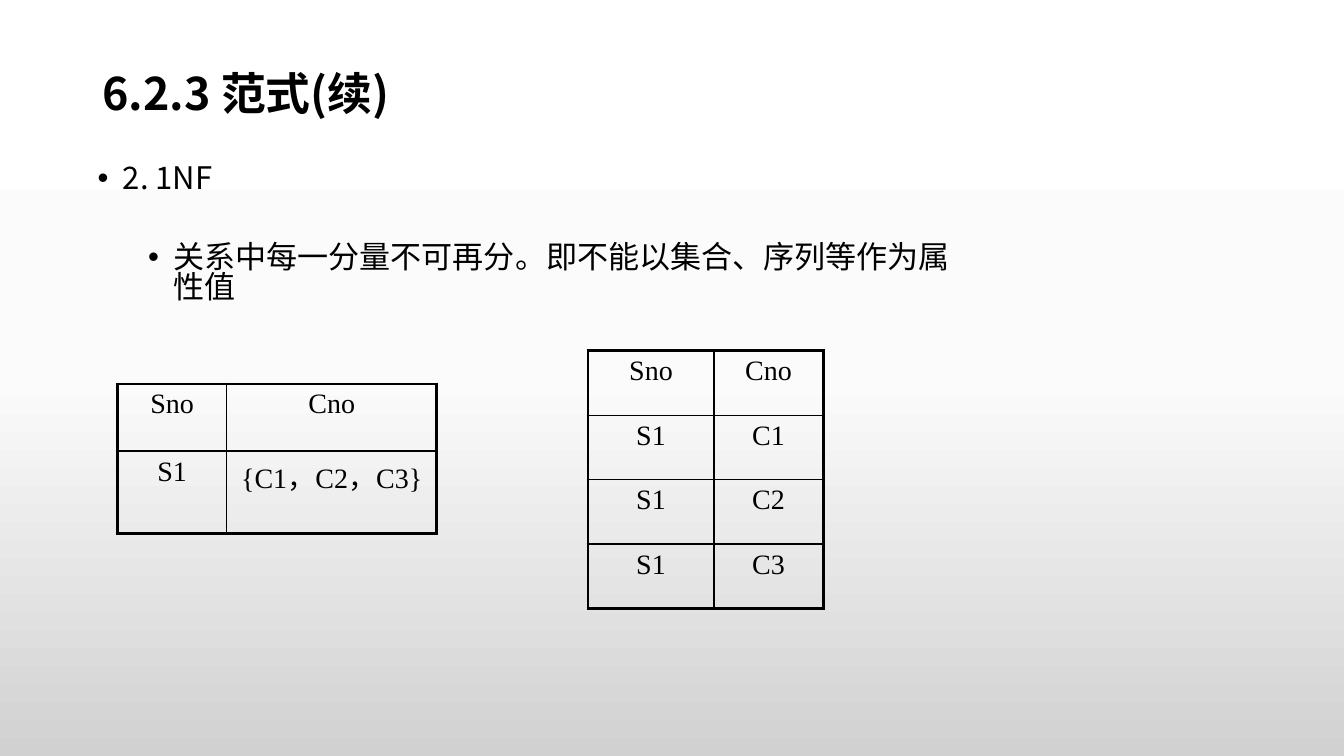
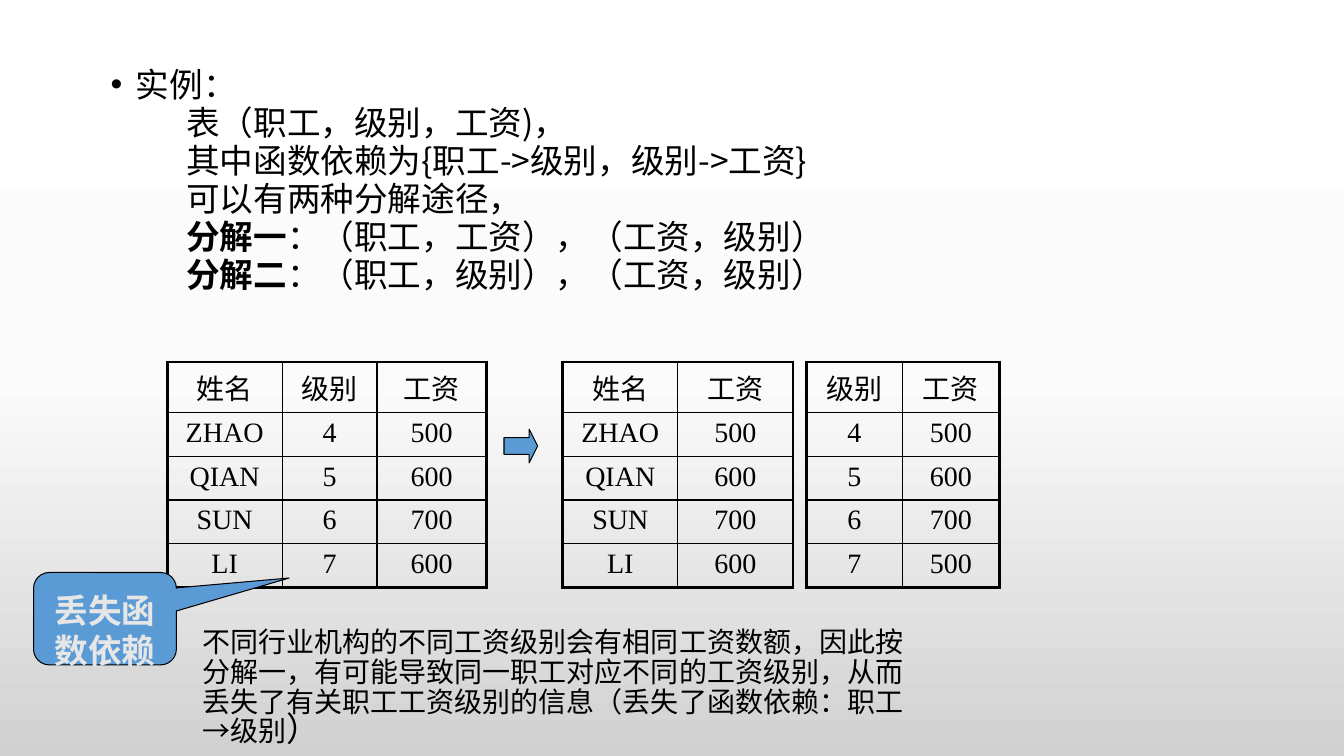
from dataclasses import dataclass
from itertools import product

from lxml.etree import SubElement
from pptx import Presentation
from pptx.dml.color import RGBColor
from pptx.enum.shapes import MSO_SHAPE
from pptx.enum.text import MSO_ANCHOR, PP_ALIGN
from pptx.oxml.ns import qn
from pptx.util import Emu, Inches, Pt

COLUMNS, ROWS = 160, 90
GRID_STEP = Inches(1) / 12
INK, ACCENT, PALE = "000000", "5B9BD5", "E7E6E6"
BACKDROP = ((0, "FFFFFF"), (50, "FBFBFB"), (100, "D1D1D1"))
SANS, SERIF = "Noto Sans CJK SC", "Times New Roman"
OUTER, INNER = 2.25, 1
FRAME_FORMAT = {"word_wrap": True, "vertical_anchor": MSO_ANCHOR.TOP}
PLAIN_GRID = {"first_row": False, "horz_banding": False}


@dataclass(frozen=True)
class Style:
    size: float
    pitch: float | None = None
    latin: str = SANS
    colour: str = INK
    bold: bool = False
    align: PP_ALIGN = PP_ALIGN.LEFT


@dataclass(frozen=True)
class Line:
    text: str
    lead: str = ""
    margin: float = 0
    bullet: bool = False
    before: float = 0
    tail: str = ""
    tail_size: float = 0


@dataclass(frozen=True)
class Area:
    column: float
    row: float
    columns: float
    rows: float

    def box(self) -> tuple[Emu, Emu, Emu, Emu]:
        return (grid(self.column), grid(self.row),
                grid(self.columns), grid(self.rows))


@dataclass(frozen=True)
class Relation:
    column: float
    row: float
    widths: tuple[float, ...]
    heights: tuple[float, ...]
    records: tuple[tuple[str, ...], ...]


TITLE = Style(32, 36, bold=True)
DEFINITION = Style(22.2, 21.4)
EXAMPLE = Style(24, 27.1)
NOTE = Style(20, 21.4, latin="Arial")
CALLOUT = Style(24, 28.6, latin=SERIF, colour=PALE, bold=True, align=PP_ALIGN.CENTER)
CELL = Style(20, latin=SERIF, align=PP_ALIGN.CENTER)

NORMAL_FORM_LINES = (
    Line("2. 1NF", margin=3, bullet=True),
    Line("关系中每一分量不可再分。即不能以集合、序列等作为属性值",
         margin=9, bullet=True, before=35),
)
EXAMPLE_LINES = (
    Line("实例：", margin=3, bullet=True),
    Line("表（职工，级别，工资)，", margin=9),
    Line("其中函数依赖为{职工->级别，级别->工资}", margin=9),
    Line("可以有两种分解途径，", margin=9),
    Line("：（职工，工资），（工资，级别）", lead="分解一", margin=9),
    Line("：（职工，级别），（工资，级别）", lead="分解二", margin=9),
)
LOSS_LINE = Line(
    "不同行业机构的不同工资级别会有相同工资数额，因此按分解一，"
    "有可能导致同一职工对应不同的工资级别，从而丢失了有关职工"
    "工资级别的信息（丢失了函数依赖：职工→级别",
    margin=6, tail="）", tail_size=24)

COURSE_RELATIONS = (
    Relation(14, 45.7, (13, 25), (8, 9.8),
             (("Sno", "Cno"), ("S1", "{C1，C2，C3}"))),
    Relation(70, 41.75, (15, 13), (7.67,) * 4,
             (("Sno", "Cno"), ("S1", "C1"), ("S1", "C2"), ("S1", "C3"))),
)
PAY_ROW = 43.1
PAY_HEIGHTS = (6,) + (4.9,) * 4
PAY_RELATIONS = (
    Relation(19.9, PAY_ROW, (13.7, 11.3, 13), PAY_HEIGHTS,
             (("姓名", "级别", "工资"), ("ZHAO", "4", "500"),
              ("QIAN", "5", "600"), ("SUN", "6", "700"), ("LI", "7", "600"))),
    Relation(67, PAY_ROW, (13.7, 13.7), PAY_HEIGHTS,
             (("姓名", "工资"), ("ZHAO", "500"), ("QIAN", "600"),
              ("SUN", "700"), ("LI", "600"))),
    Relation(96, PAY_ROW, (11.4, 11.6), PAY_HEIGHTS,
             (("级别", "工资"), ("4", "500"), ("5", "600"),
              ("6", "700"), ("7", "500"))),
)


def grid(steps: float) -> Emu:
    return Emu(round(steps * GRID_STEP))


def colour(value: str) -> RGBColor:
    return RGBColor.from_string(value)


def apply(target, values: dict) -> None:
    for name, value in values.items():
        setattr(target, name, value)


def add_run(paragraph, text: str, style: Style, bold: bool, size: float) -> None:
    run = paragraph.add_run()
    run.text = text
    run.font.color.rgb = colour(style.colour)
    apply(run.font, {"size": Pt(size), "bold": bold, "name": style.latin})
    SubElement(run.font._element, qn("a:ea"), typeface=SANS)


def write_line(paragraph, line: Line, style: Style) -> None:
    apply(paragraph, {"alignment": style.align, "space_before": Pt(line.before)})
    if style.pitch:
        paragraph.line_spacing = Pt(style.pitch)
    props = paragraph._p.get_or_add_pPr()
    props.set("marL", str(grid(line.margin)))
    props.set("indent", str(grid(-3 if line.bullet else 0)))
    if line.bullet:
        SubElement(props, qn("a:buFont"), typeface="Arial")
        SubElement(props, qn("a:buChar"), char="•")
    if line.lead:
        add_run(paragraph, line.lead, style, True, style.size)
    add_run(paragraph, line.text, style, style.bold, style.size)
    if line.tail:
        add_run(paragraph, line.tail, style, style.bold, line.tail_size)


def write_lines(frame, lines: tuple[Line, ...], style: Style) -> None:
    apply(frame, FRAME_FORMAT)
    for index, line in enumerate(lines):
        paragraph = frame.add_paragraph() if index else frame.paragraphs[0]
        write_line(paragraph, line, style)


def add_text(slide, area: Area, lines: tuple[Line, ...], style: Style) -> None:
    write_lines(slide.shapes.add_textbox(*area.box()).text_frame, lines, style)


def add_figure(slide, preset: MSO_SHAPE, area: Area, adjustments: tuple[float, ...]):
    figure = slide.shapes.add_shape(preset, *area.box())
    for index, value in enumerate(adjustments):
        figure.adjustments[index] = value
    figure.shadow.inherit = False
    figure.fill.solid()
    figure.fill.fore_color.rgb = colour(ACCENT)
    figure.line.color.rgb = colour(INK)
    figure.line.width = Pt(0.75)
    return figure


def set_borders(cell, widths: dict[str, float]) -> None:
    props = cell._tc.get_or_add_tcPr()
    for side, width in widths.items():
        border = SubElement(props, qn(f"a:ln{side}"), w=str(Pt(width)))
        fill = SubElement(border, qn("a:solidFill"))
        SubElement(fill, qn("a:srgbClr"), val=INK)


def add_relation(slide, relation: Relation) -> None:
    row_count, column_count = len(relation.heights), len(relation.widths)
    area = Area(relation.column, relation.row,
                sum(relation.widths), sum(relation.heights))
    table = slide.shapes.add_table(row_count, column_count, *area.box()).table
    apply(table, PLAIN_GRID)
    for column, width in zip(table.columns, relation.widths):
        column.width = grid(width)
    for row, height in zip(table.rows, relation.heights):
        row.height = grid(height)
    for r, c in product(range(row_count), range(column_count)):
        cell = table.cell(r, c)
        edges = {"L": c == 0, "R": c == column_count - 1,
                 "T": r == 0, "B": r == row_count - 1}
        set_borders(cell, {side: OUTER if edge else INNER
                           for side, edge in edges.items()})
        cell.fill.background()
        write_line(cell.text_frame.paragraphs[0], Line(relation.records[r][c]), CELL)


def paint_backdrop(master) -> None:
    fill = master.background.fill
    fill.gradient()
    fill.gradient_angle = 270
    stops = next(master.element.iter(qn("a:gsLst")))
    for stop in list(stops):
        stops.remove(stop)
    for position, value in BACKDROP:
        stop = SubElement(stops, qn("a:gs"), pos=str(position * 1000))
        SubElement(stop, qn("a:srgbClr"), val=value)


def build_normal_form(slide) -> None:
    add_text(slide, Area(11, 7.68, 102, 7), (Line("6.2.3 范式(续)"),), TITLE)
    add_text(slide, Area(10.44, 19.2, 104.64, 18), NORMAL_FORM_LINES, DEFINITION)
    for relation in COURSE_RELATIONS:
        add_relation(slide, relation)


def build_decomposition(slide) -> None:
    add_text(slide, Area(12, 7.32, 104, 32), EXAMPLE_LINES, EXAMPLE)
    for relation in PAY_RELATIONS:
        add_relation(slide, relation)
    warning = add_figure(slide, MSO_SHAPE.ROUNDED_RECTANGULAR_CALLOUT,
                         Area(4, 68.16, 17, 11), (1.29, -0.44, 0.17))
    write_lines(warning.text_frame, (Line("丢失函"), Line("数依赖")), CALLOUT)
    apply(warning.text_frame, {"margin_top": grid(1.5), "margin_bottom": 0})
    add_figure(slide, MSO_SHAPE.RIGHT_ARROW, Area(60, 51.1, 4, 4), (0.5, 0.25))
    add_text(slide, Area(16.9, 74.2, 92, 15.6), (LOSS_LINE,), NOTE)


def main() -> None:
    deck = Presentation()
    apply(deck, {"slide_width": grid(COLUMNS), "slide_height": grid(ROWS)})
    paint_backdrop(deck.slide_master)
    for build in (build_normal_form, build_decomposition):
        build(deck.slides.add_slide(deck.slide_layouts[6]))
    deck.save("out.pptx")


if __name__ == "__main__":
    main()
